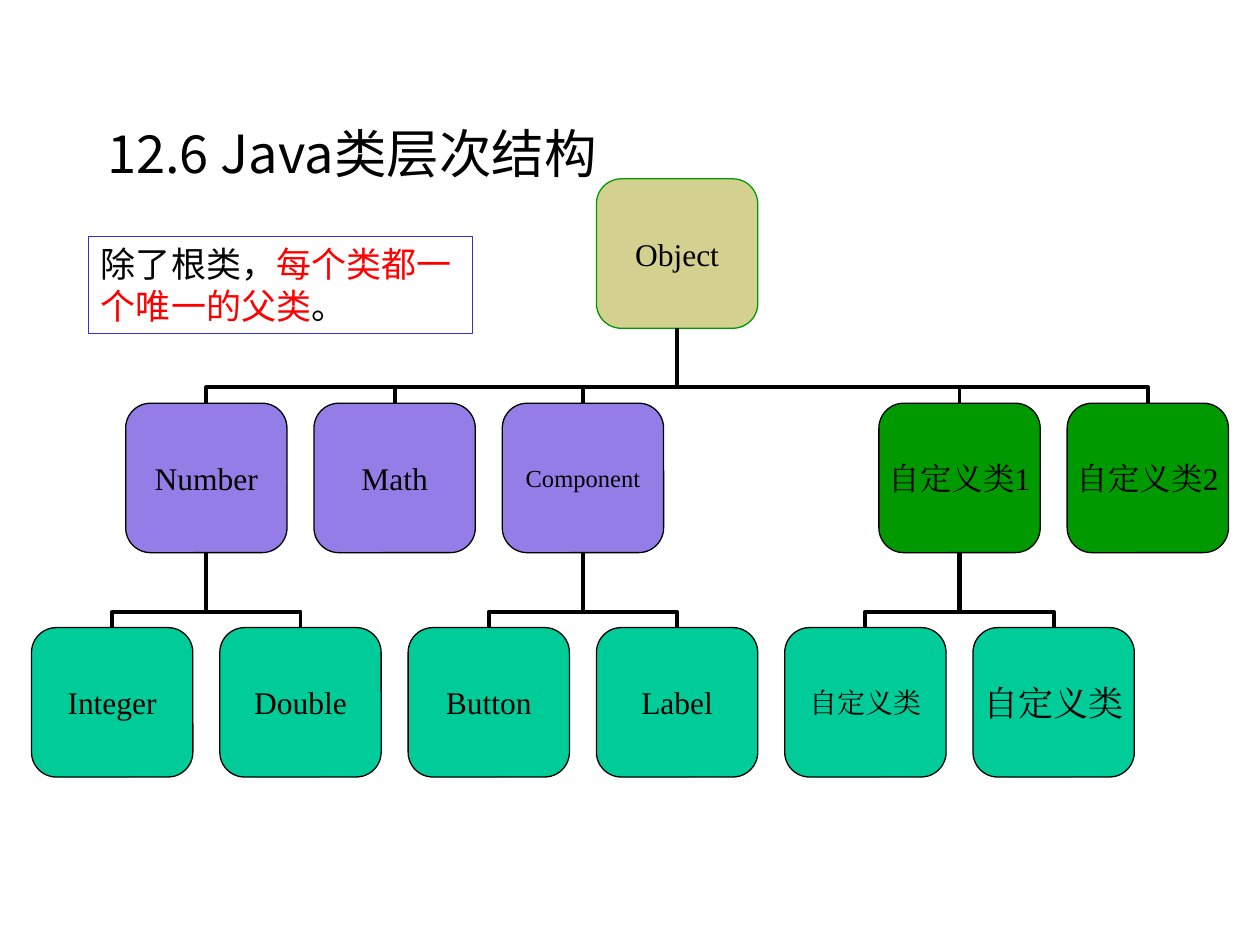
"""Build the Java class hierarchy slide."""
from lxml import etree
from pptx import Presentation
from pptx.dml.color import RGBColor
from pptx.enum.shapes import MSO_CONNECTOR, MSO_SHAPE
from pptx.enum.text import MSO_ANCHOR, PP_ALIGN
from pptx.oxml.ns import qn
from pptx.util import Pt

ELBOW = MSO_CONNECTOR.ELBOW
ROUNDED = MSO_SHAPE.ROUNDED_RECTANGLE
MIDDLE = MSO_ANCHOR.MIDDLE
LEFT, CENTER = PP_ALIGN.LEFT, PP_ALIGN.CENTER

BLACK = RGBColor(0x00, 0x00, 0x00)
RED = RGBColor(0xFF, 0x00, 0x00)
BLUE = RGBColor(0x33, 0x33, 0xCC)
KHAKI = RGBColor(0xD4, 0xD1, 0x90)
PURPLE = RGBColor(0x94, 0x7D, 0xE7)
GREEN = RGBColor(0x00, 0x99, 0x00)
TEAL = RGBColor(0x00, 0xCC, 0x99)

SERIF = "Times New Roman"
SANS = "Noto Sans CJK SC"

GRID_LEFT, GRID_TOP = 18, 102.2
COL_STEP, ROW_STEP = 107.6, 128.2
BOX_W, BOX_H = 92.2, 85.4

NODES = [
    ("Object", 3, 0, KHAKI, 18, None),
    ("Number", 0.5, 1, PURPLE, 18, 0),
    ("Math", 1.5, 1, PURPLE, 18, 0),
    ("Component", 2.5, 1, PURPLE, 14, 0),
    ("自定义类1", 4.5, 1, GREEN, 18, 0),
    ("自定义类2", 5.5, 1, GREEN, 18, 0),
    ("Integer", 0, 2, TEAL, 18, 1),
    ("Double", 1, 2, TEAL, 18, 1),
    ("Button", 2, 2, TEAL, 18, 3),
    ("Label", 3, 2, TEAL, 18, 3),
    ("自定义类", 4, 2, TEAL, 16, 4),
    ("自定义类", 5, 2, TEAL, 20, 4),
]


def format_run(r, font, size, color):
    r.font.name = font
    r.font.size = Pt(size)
    r.font.color.rgb = color
    ea = etree.SubElement(r.font._element, qn("a:ea"))
    ea.set("typeface", font)


def link_to_parent(s, child, parent):
    line = s.shapes.add_connector(ELBOW, 0, 0, 0, 0)
    line.begin_connect(child, 0)
    line.end_connect(parent, 2)
    rise = child.top - parent.top - parent.height
    run = abs(child.left - parent.left)
    mid_x = (child.left + parent.left + child.width) // 2
    mid_y = child.top - rise // 2
    line.left, line.top = mid_x - rise // 2, mid_y - run // 2
    line.width, line.height = rise, run
    is_left = child.left < parent.left
    xfrm = line._element.spPr.find(qn("a:xfrm"))
    xfrm.set("rot", "5400000" if is_left else "16200000")
    xfrm.set("flipH", "1" if is_left else "0")
    xfrm.set("flipV", "1")
    bend = etree.SubElement(line._element.spPr.find(".//" + qn("a:avLst")), qn("a:gd"))
    bend.set("name", "adj1")
    bend.set("fmla", "val 21000")
    line.line.color.rgb = BLACK
    line.line.width = Pt(2.25)
    etree.SubElement(line._element.spPr, qn("a:effectLst"))


prs = Presentation()
prs.slide_width, prs.slide_height = Pt(720), Pt(540)
s = prs.slides.add_slide(prs.slide_layouts[5])

boxes = []
for label, col, row, fill, size, parent in NODES:
    box = s.shapes.add_shape(ROUNDED, Pt(GRID_LEFT + col * COL_STEP),
                             Pt(GRID_TOP + row * ROW_STEP), Pt(BOX_W), Pt(BOX_H))
    box.shadow.inherit = False
    box.fill.solid()
    box.fill.fore_color.rgb = fill
    box.line.color.rgb = GREEN if parent is None else BLACK
    box.line.width = Pt(0.75)
    tf = box.text_frame
    tf.text = label
    tf.word_wrap = False
    tf.vertical_anchor = MIDDLE
    tf.margin_left = tf.margin_right = tf.margin_top = tf.margin_bottom = 0
    p = tf.paragraphs[0]
    p.alignment = CENTER
    format_run(p.runs[0], SERIF, size, BLACK)
    boxes.append(box)
    if parent is not None:
        link_to_parent(s, box, boxes[parent])

title = s.shapes.title
title.left, title.top, title.width, title.height = Pt(54), Pt(60), Pt(612), Pt(54)
tf = title.text_frame
tf.text = "12.6 Java类层次结构"
tf.vertical_anchor = MIDDLE
p = tf.paragraphs[0]
p.alignment = LEFT
format_run(p.runs[0], SANS, 30, BLACK)

note = s.shapes.add_textbox(Pt(50.6), Pt(135.2), Pt(219.6), Pt(55.4))
note.line.color.rgb = BLUE
note.line.width = Pt(0.75)
tf = note.text_frame
tf.word_wrap = True
p = tf.paragraphs[0]
for text, color in [("除了根类，", BLACK), ("每个类都一个唯一的父类", RED), ("。", BLACK)]:
    r = p.add_run()
    r.text = text
    format_run(r, SANS, 20, color)

prs.save("out.pptx")
